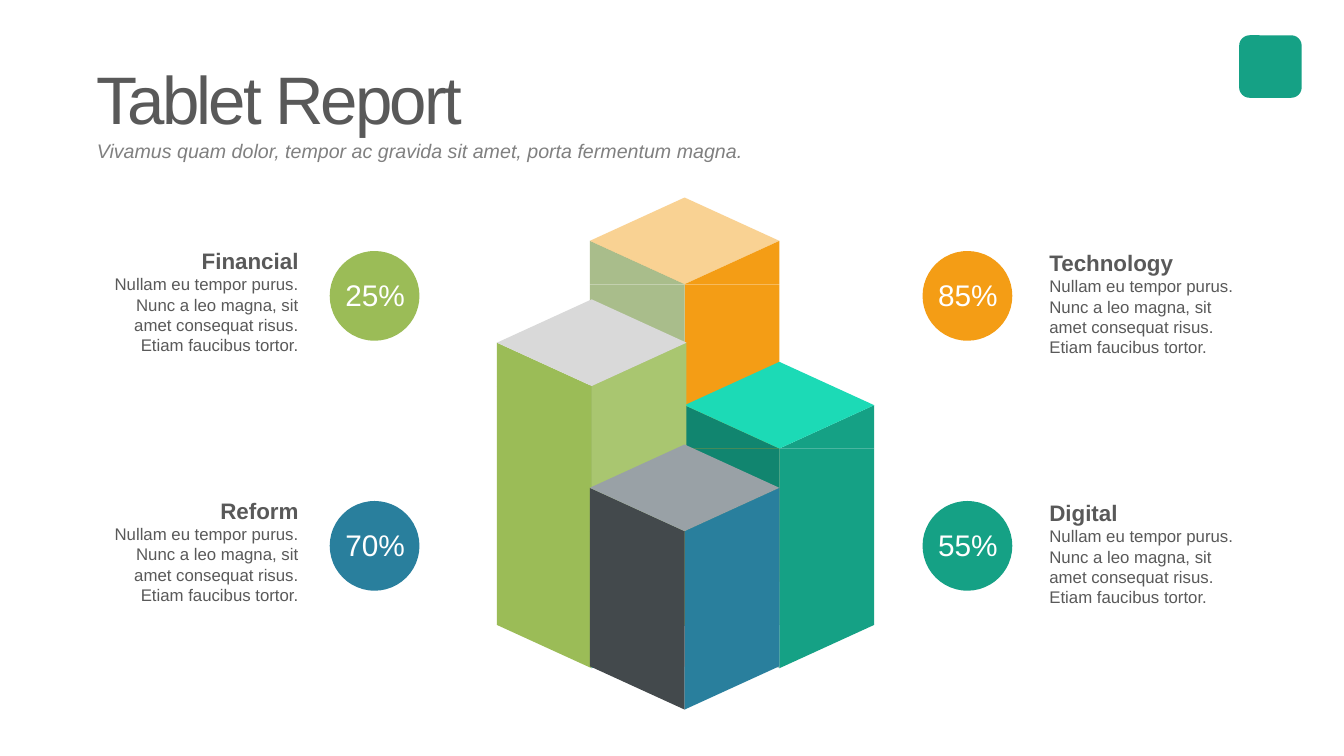
import pptx
import pptx.dml.color
import pptx.enum.shapes
import pptx.enum.text
import pptx.oxml
import pptx.oxml.ns
import pptx.util

SHAPE = pptx.enum.shapes.MSO_SHAPE
ALIGN = pptx.enum.text.PP_ALIGN
ANCHOR = pptx.enum.text.MSO_ANCHOR
FIT = pptx.enum.text.MSO_AUTO_SIZE.SHAPE_TO_FIT_TEXT

TITLE = "Tablet Report"
SUBTITLE = "Vivamus quam dolor, tempor ac gravida sit amet, porta fermentum magna."
BODY = ("Nullam eu tempor purus. Nunc a leo magna, sit amet consequat risus. "
        "Etiam faucibus tortor.")
DARK, GRAY, WHITE, TEAL = "595959", "808080", "FFFFFF", "15A185"

CALLOUTS = [
    {"name": "Technology", "share": "85%", "side": "right", "row": 0, "color": "F49D15"},
    {"name": "Digital", "share": "55%", "side": "right", "row": 1, "color": TEAL},
    {"name": "Financial", "share": "25%", "side": "left", "row": 0, "color": "9BBC57"},
    {"name": "Reform", "share": "70%", "side": "left", "row": 1, "color": "297F9D"},
]
SIDES = {
    "left": {"badge": 3.27, "text": 0.86, "lift": 0.22, "align": ALIGN.RIGHT},
    "right": {"badge": 9.15, "text": 10.31, "lift": 0.2, "align": ALIGN.LEFT},
}
ROW_TOP, ROW_STEP, BADGE = 2.49, 2.48, 0.89

CENTER, HALF, RISE = 6.79, 0.94, 0.43
TOWERS = [
    {"column": -1, "top": 2.39, "base": 5.77, "walls": ("A9BD8B", "F49D15"),
     "feet": ("ECD35E", "F0C424"), "lid": "F49D15", "lid_alpha": 46},
    {"column": 0, "top": 4.02, "base": 6.2, "walls": ("11856F", TEAL),
     "feet": ("BBC0C4", TEAL), "lid": "1CDAB6", "lid_alpha": 100},
    {"column": -1.98, "top": 3.4, "base": 6.2, "walls": ("9BBC57", "A9C670"),
     "feet": ("9BBC57", "4BACC6"), "lid": "D9D9D9", "lid_alpha": 100},
    {"column": -1, "top": 4.84, "base": 6.61, "walls": ("43494C", "297F9D"),
     "feet": ("43494C", "297F9D"), "lid": "99A1A6", "lid_alpha": 100},
]


def inch(value):
    return pptx.util.Inches(value)


def rgb(color):
    return pptx.dml.color.RGBColor.from_string(color)


def paint(shape, color, alpha=100):
    shape.shadow.inherit = False
    shape.line.fill.background()
    shape.fill.solid()
    shape.fill.fore_color.rgb = rgb(color)
    if alpha < 100:
        tint = shape._element.spPr.find(".//" + pptx.oxml.ns.qn("a:srgbClr"))
        tint.append(pptx.oxml.parse_xml(
            f'<a:alpha {pptx.oxml.ns.nsdecls("a")} val="{alpha * 1000}"/>'))


def add_preset(shapes, kind, left, top, width, height, color):
    shape = shapes.add_shape(kind, inch(left), inch(top), inch(width), inch(height))
    paint(shape, color)
    return shape


def add_face(shapes, corners, color, alpha=100):
    points = [(inch(x), inch(y)) for x, y in corners]
    outline = shapes.build_freeform(*points[0], scale=1.0)
    outline.add_line_segments(points[1:], close=True)
    paint(outline.convert_to_shape(), color, alpha)


def add_text(shapes, place, lines, align=ALIGN.LEFT, wrap=True, tight=False):
    box = shapes.add_textbox(*[inch(value) for value in place])
    frame = box.text_frame
    frame.word_wrap = wrap
    frame.auto_size = FIT
    if tight:
        frame.margin_left = frame.margin_right = inch(0.07)
        frame.margin_top = frame.margin_bottom = inch(0.03)
    for index, (text, size, color, style) in enumerate(lines):
        para = frame.add_paragraph() if index else frame.paragraphs[0]
        para.text = text
        para.alignment = align
        para.font.name = "Arial"
        para.font.size = pptx.util.Pt(size)
        para.font.color.rgb = rgb(color)
        para.font.bold = style == "bold"
        para.font.italic = style == "italic"
    return frame


def add_tower(page, tower):
    shapes = page.shapes.add_group_shape().shapes
    left = CENTER + tower["column"] * HALF
    middle, right = left + HALF, left + 2 * HALF
    top, base = tower["top"], tower["base"]
    shoulder = top + RISE
    for outer, wall, foot in zip((left, right), tower["walls"], tower["feet"]):
        add_face(shapes, [(outer, base), (middle, base + RISE), (middle, base)], foot)
        add_face(shapes, [(middle, shoulder), (outer, top), (outer, shoulder)], wall)
    lid = [(left, top), (middle, shoulder), (right, top), (middle, top - RISE)]
    add_face(shapes, lid, tower["lid"], tower["lid_alpha"])
    for start, wall in zip((middle, left), reversed(tower["walls"])):
        add_preset(shapes, SHAPE.RECTANGLE, start, shoulder, HALF, base - shoulder, wall)


def add_callout(page, callout):
    side = SIDES[callout["side"]]
    top = ROW_TOP + callout["row"] * ROW_STEP
    shapes = page.shapes.add_group_shape().shapes
    add_preset(shapes, SHAPE.OVAL, side["badge"], top, BADGE, BADGE, callout["color"])
    add_text(shapes, (side["badge"] - 0.07, top + 0.21, 1.04, 0.46),
             [(callout["share"], 21.3, WHITE, "plain")], ALIGN.CENTER)
    frame = add_text(page.shapes, (side["text"], top - side["lift"], 2.2, 1.31),
                     [(callout["name"], 16, DARK, "bold"), (BODY, 12, DARK, "plain")],
                     side["align"])
    frame.paragraphs[0].line_spacing = 1.5


def main():
    deck = pptx.Presentation()
    deck.slide_width, deck.slide_height = inch(13.33), inch(7.5)
    page = deck.slides.add_slide(deck.slide_layouts[6])
    add_preset(page.shapes, SHAPE.ROUNDED_RECTANGLE, 12.29, 0.35, 0.62, 0.62, TEAL)
    heading = add_text(page.shapes, (0.89, 0.54, 3.78, 0.88),
                       [(TITLE, 48, DARK, "plain")], wrap=False, tight=True)
    heading.paragraphs[0].runs[0].font._element.set("spc", "-200")
    for tower in TOWERS:
        add_tower(page, tower)
    subtitle = add_text(page.shapes, (0.89, 1.34, 7, 0.3),
                        [(SUBTITLE, 14, GRAY, "italic")], tight=True)
    subtitle.vertical_anchor = ANCHOR.MIDDLE
    for callout in CALLOUTS:
        add_callout(page, callout)
    deck.save("out.pptx")


if __name__ == "__main__":
    main()
